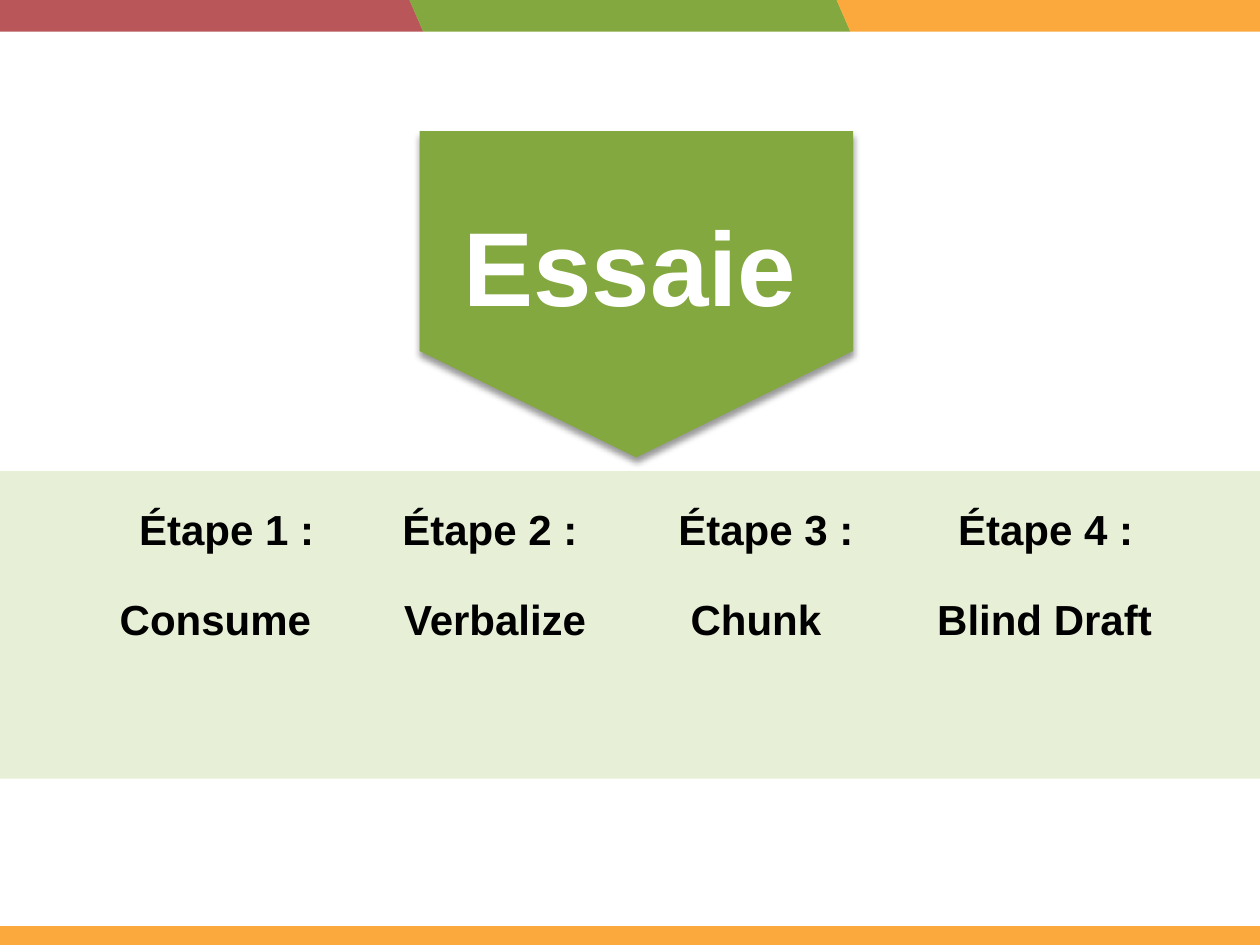
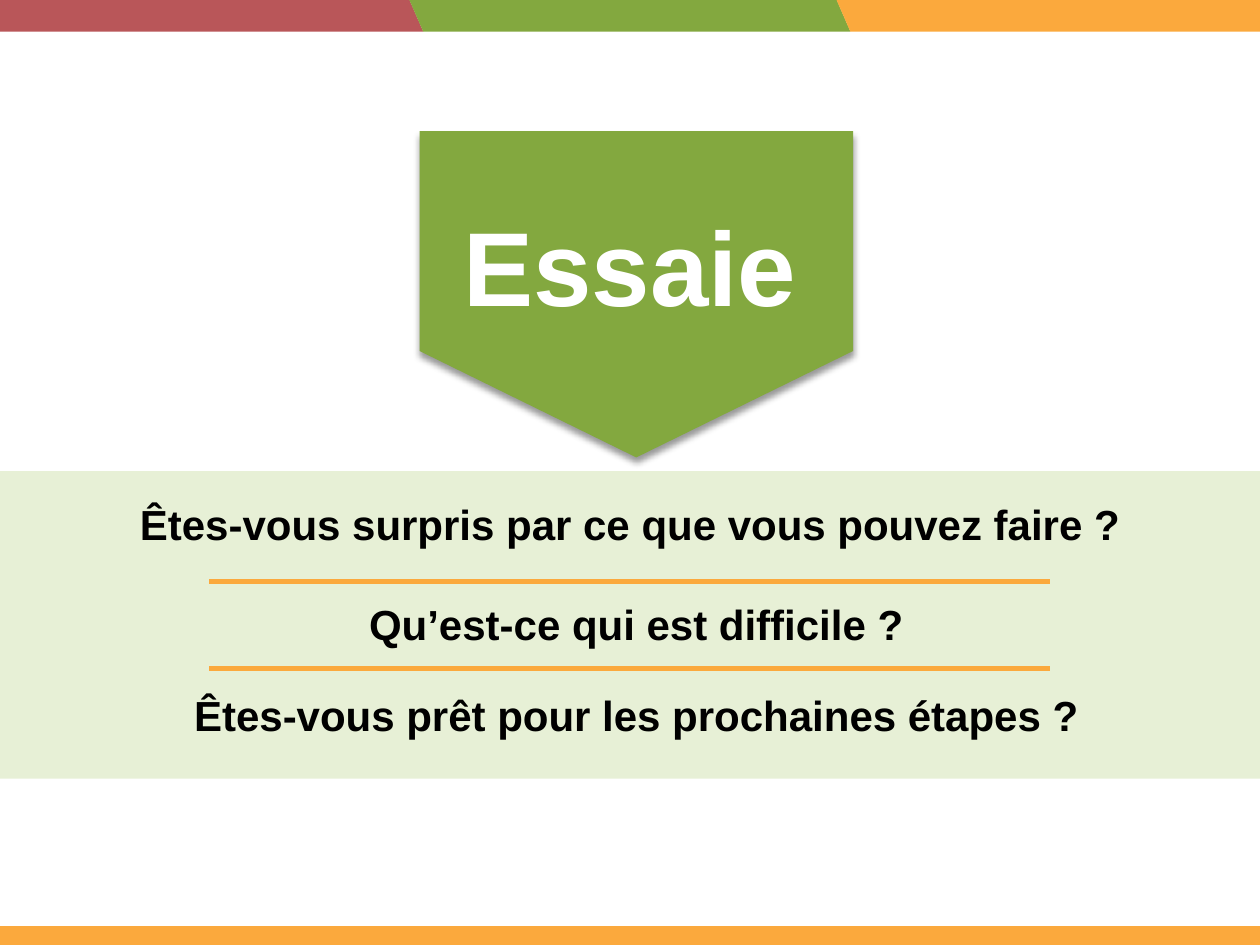
from lxml import etree
from pptx import Presentation
from pptx.dml.color import RGBColor
from pptx.enum.shapes import MSO_SHAPE
from pptx.enum.text import MSO_AUTO_SIZE, PP_ALIGN
from pptx.oxml import parse_xml
from pptx.oxml.ns import nsdecls, qn
from pptx.util import Inches, Pt

RECT = MSO_SHAPE.RECTANGLE
SLANT = MSO_SHAPE.PARALLELOGRAM
ARROW = MSO_SHAPE.PENTAGON
CENTER = PP_ALIGN.CENTER
LEFT = PP_ALIGN.LEFT
GROW = MSO_AUTO_SIZE.SHAPE_TO_FIT_TEXT

RED = RGBColor(0xB9, 0x56, 0x59)
GREEN = RGBColor(0x83, 0xA8, 0x3F)
ORANGE = RGBColor(0xFB, 0xA9, 0x3D)
PALE = RGBColor(0xE7, 0xF0, 0xD6)
WHITE = RGBColor(0xFF, 0xFF, 0xFF)
BLACK = RGBColor(0, 0, 0)

FONT = "Arial"
WIDE, HIGH = 10, 7.5
BAND = (0, 3.74, WIDE, 2.44)
BADGE = (3.33, 0.61 + 0.43, 3.44, 2.59)

STEPS = [("Étape 1 :", 1.8, "Consume", 1.71),
         ("Étape 2 :", 3.89, "Verbalize", 3.93),
         ("Étape 3 :", 6.08, "Chunk", 6),
         ("Étape 4 :", 8.3, "Blind Draft", 8.29)]
ASKS = [("Êtes-vous surpris par ce que vous pouvez faire ?", 5, 8.08, 0.17),
        ("Qu’est-ce qui est difficile ?", 5.05, 4.78, 0.96),
        ("Êtes-vous prêt pour les prochaines étapes ?", 5.05, 9.12, 1.68)]


def add_form(slide, kind, box, color):
    form = slide.shapes.add_shape(kind, *map(Inches, box))
    form.shadow.inherit = False
    form.fill.solid()
    form.fill.fore_color.rgb = color
    form.line.fill.background()
    return form


def add_text(slide, box, text, size=24, color=BLACK, align=CENTER, tabs=()):
    label = slide.shapes.add_textbox(*map(Inches, box))
    frame = label.text_frame
    frame.word_wrap = True
    frame.auto_size = GROW
    para = frame.paragraphs[0]
    para.alignment = align
    if tabs:
        stops = etree.SubElement(para._p.get_or_add_pPr(), qn("a:tabLst"))
        for stop in tabs:
            etree.SubElement(stops, qn("a:tab"), pos=str(Inches(stop)), algn="ctr")
    run = para.add_run()
    run.text = text
    run.font.name = FONT
    run.font.size = Pt(size)
    run.font.bold = True
    run.font.color.rgb = color


def add_frame(slide):
    for i, color in enumerate((RED, GREEN, ORANGE)):
        strip = add_form(slide, SLANT, (-0.14 + 3.39 * i, 0, 3.5, 0.25), color)
        strip.adjustments[0] = 0.436
        strip._element.spPr.get_or_add_xfrm().set("flipH", "1")
    foot = 0.15
    add_form(slide, RECT, (0, HIGH - foot, WIDE, foot), ORANGE)
    add_form(slide, RECT, BAND, PALE)


def add_badge(slide, box, title):
    left, top, width, height = box
    mid_x, mid_y = left + width / 2, top + height / 2
    turned = (mid_x - height / 2, mid_y - width / 2, height, width)
    badge = add_form(slide, ARROW, turned, GREEN)
    badge.rotation = 90
    badge.adjustments[0] = 0.326
    props = badge._element.spPr
    props.remove(props.find(qn("a:effectLst")))
    props.append(parse_xml(
        f'<a:effectLst {nsdecls("a")}>'
        f'<a:outerShdw blurRad="{Pt(4)}" dist="{Pt(3)}" dir="5400000" rotWithShape="0">'
        '<a:srgbClr val="000000"><a:alpha val="40000"/></a:srgbClr>'
        '</a:outerShdw></a:effectLst>'))
    add_text(slide, (left - 0.05, top + 0.51, width, 1.11), title, 60, WHITE)


def add_steps(slide, box):
    left, top = box[:2]
    inset, pad, wide = 0.57, 0.1, 2.2
    heads = "".join("\t" + head for head, *_ in STEPS)
    tabs = [stop - inset - pad for _, stop, *_ in STEPS]
    add_text(slide, (left + inset, top + 0.21, 8.97, 0.5), heads, align=LEFT, tabs=tabs)
    for *_, name, mid in STEPS:
        add_text(slide, (left + mid - wide / 2, top + 0.92, wide, 0.5), name)


def set_edge(cell, side, place, shown):
    paint = (f'<a:solidFill><a:srgbClr val="{ORANGE}"/></a:solidFill>'
             if shown else "<a:noFill/>")
    cell._tc.get_or_add_tcPr().insert(place, parse_xml(
        f'<a:ln{side} {nsdecls("a")} w="{Pt(3)}">{paint}</a:ln{side}>'))


def add_rules(slide, box):
    count = len(ASKS)
    table = slide.shapes.add_table(count, 1, *map(Inches, box)).table
    table.first_row = False
    table.horz_banding = False
    for i in range(count):
        cell = table.cell(i, 0)
        cell.fill.background()
        shown = {"T": i > 0, "B": i < count - 1}
        for place, side in enumerate("LRTB"):
            set_edge(cell, side, place, shown.get(side, False))


def add_asks(slide, box):
    left, top = box[:2]
    add_rules(slide, (left + 1.66, top + 0.18, 6.67, 2.08))
    for text, mid, wide, drop in ASKS:
        add_text(slide, (left + mid - wide / 2, top + drop, wide, 0.5), text)


def main():
    deck = Presentation()
    deck.slide_width = Inches(WIDE)
    deck.slide_height = Inches(HIGH)
    for fill_band in (add_steps, add_asks):
        slide = deck.slides.add_slide(deck.slide_layouts[6])
        add_frame(slide)
        add_badge(slide, BADGE, "Essaie")
        fill_band(slide, BAND)
    deck.save("out.pptx")


if __name__ == "__main__":
    main()
